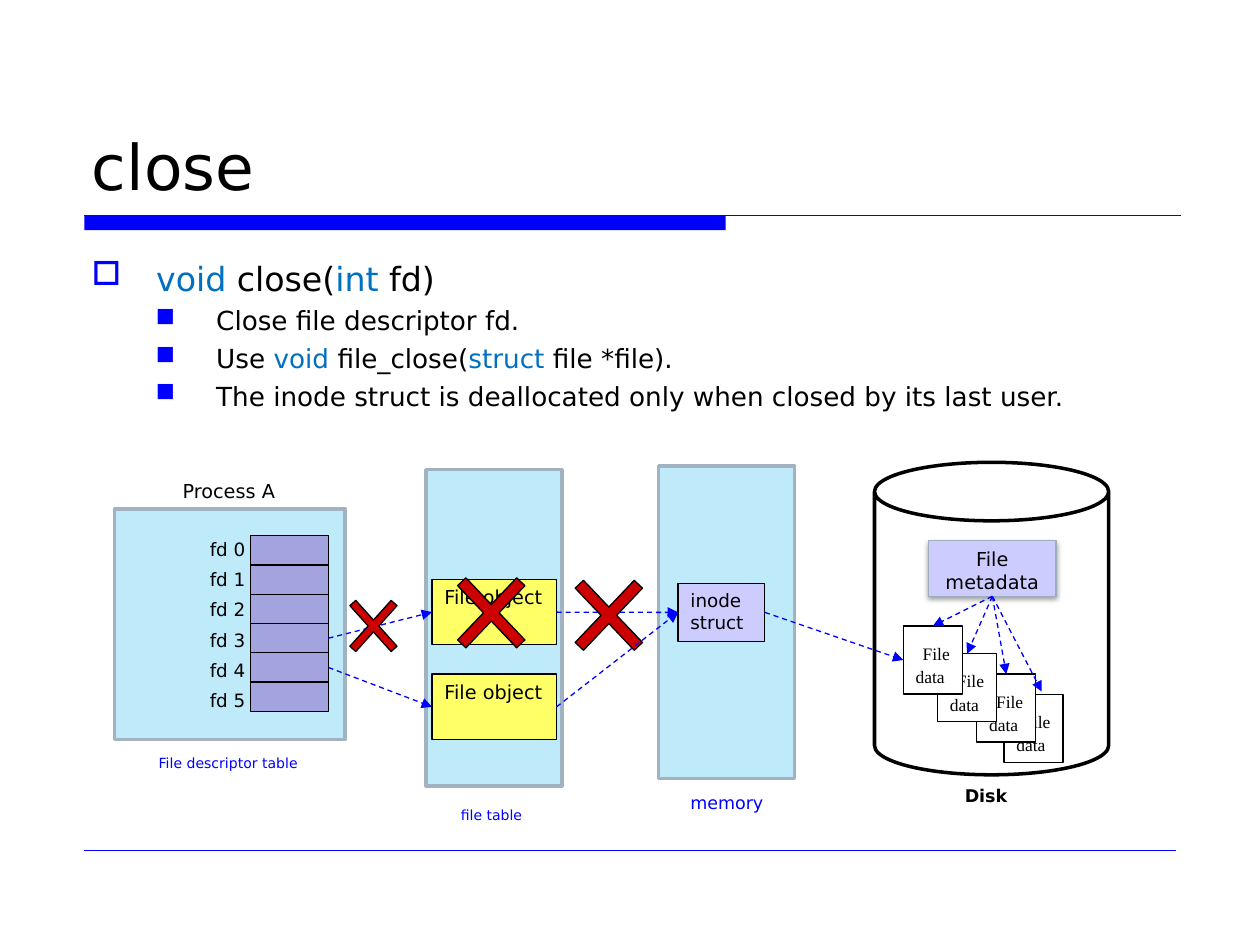
"""Build the slide explaining what close does to descriptors, file objects and inodes."""
from typing import NamedTuple, Optional

from lxml.etree import SubElement
from pptx import Presentation
from pptx.dml.color import RGBColor
from pptx.enum.dml import MSO_LINE
from pptx.enum.shapes import MSO_CONNECTOR, MSO_SHAPE
from pptx.enum.text import MSO_ANCHOR, PP_ALIGN
from pptx.oxml.ns import qn
from pptx.util import Cm, Pt

COLORS = {
    "black": "000000", "white": "FFFFFF", "blue": "0000FF", "keyword": "0070C0",
    "panel": "BFEAFA", "panel_edge": "A3B2C1", "slot": "A3A3E0", "inode": "CCCCFF",
    "metadata_edge": "9FAEBD", "file": "FFFF66", "cross": "CC0000",
}
SANS, SERIF = "DejaVu Sans", "Times New Roman"
TOP, LEFT, BOTTOM, RIGHT = range(4)


class Box(NamedTuple):
    left: float
    top: float
    width: float
    height: float

    def lengths(self) -> list:
        return [Cm(value) for value in self]


class Span(NamedTuple):
    text: str
    color: Optional[str] = None
    size: Optional[float] = None


class Bullet(NamedTuple):
    char: str
    indent: float
    hanging: float
    level: int


class Caption(NamedTuple):
    text: str
    box: Box
    size: float
    color: str = "blue"
    bold: bool = False


def rgb(name: str) -> RGBColor:
    return RGBColor.from_string(COLORS[name])


def add_bullet(paragraph, bullet: Bullet) -> None:
    paragraph.level = bullet.level
    properties = paragraph._p.get_or_add_pPr()
    properties.set("marL", str(Cm(bullet.indent)))
    properties.set("indent", str(-Cm(bullet.hanging)))
    tint = SubElement(properties, qn("a:buClr"))
    SubElement(tint, qn("a:srgbClr"), val=COLORS["blue"])
    SubElement(properties, qn("a:buChar"), char=bullet.char)


def write(frame, *spans, size: float, color: str = "black", font: str = SANS, bold: bool = False,
          align=PP_ALIGN.LEFT, before: float = 0, bullet: Optional[Bullet] = None) -> None:
    started = bool(frame.paragraphs[0].runs)
    paragraph = frame.add_paragraph() if started else frame.paragraphs[0]
    paragraph.alignment = align
    paragraph.space_before = Pt(before if started else 0)
    if bullet:
        add_bullet(paragraph, bullet)
    for item in spans:
        span = Span(item) if isinstance(item, str) else item
        run = paragraph.add_run()
        run.text = span.text
        run.font.name = font
        run.font.size = Pt(span.size or size)
        run.font.bold = bold
        run.font.color.rgb = rgb(span.color or color)


def add_frame(slide, box: Box):
    frame = slide.shapes.add_textbox(*box.lengths()).text_frame
    frame.word_wrap = True
    return frame


def add_box(slide, box: Box, fill: str, edge: Optional[str] = "black", weight: float = 0.75,
            kind=MSO_SHAPE.RECTANGLE):
    shape = slide.shapes.add_shape(kind, *box.lengths())
    shape.shadow.inherit = False
    shape.fill.solid()
    shape.fill.fore_color.rgb = rgb(fill)
    if edge:
        shape.line.color.rgb = rgb(edge)
        shape.line.width = Pt(weight)
    else:
        shape.line.fill.background()
    shape.text_frame.vertical_anchor = MSO_ANCHOR.TOP
    return shape


def add_line(slide, start: tuple, end: tuple, weight: float = 0.75):
    ends = [Cm(value) for value in (*start, *end)]
    line = slide.shapes.add_connector(MSO_CONNECTOR.STRAIGHT, *ends)
    line.line.color.rgb = rgb("blue")
    line.line.width = Pt(weight)
    SubElement(line._element.spPr, qn("a:effectLst"))
    return line


def add_arrow(slide, source, source_side: int, target=None, target_side: int = LEFT,
              end: tuple = (0, 0)) -> None:
    arrow = add_line(slide, (0, 0), end)
    arrow.begin_connect(source, source_side)
    if target is not None:
        arrow.end_connect(target, target_side)
    arrow.line.dash_style = MSO_LINE.DASH
    SubElement(arrow.line._get_or_add_ln(), qn("a:tailEnd"), type="triangle")


def add_soft_shadow(shape) -> None:
    effects = shape._element.spPr.find(qn("a:effectLst"))
    shadow = SubElement(effects, qn("a:outerShdw"), blurRad=str(Pt(3.1)), dist=str(Pt(1.6)),
                        dir="5400000", rotWithShape="0")
    tint = SubElement(shadow, qn("a:srgbClr"), val=COLORS["black"])
    SubElement(tint, qn("a:alpha"), val="38000")


def add_heading(slide) -> None:
    add_box(slide, Box(1.7, 4.34, 12.93, 0.3), "blue", None)
    add_line(slide, (1.7, 4.34), (23.8, 4.34))
    add_line(slide, (1.7, 17.15), (23.7, 17.15), 0.25)
    title = slide.shapes.title
    title.left, title.top, title.width, title.height = Box(1.6, 0.84, 22.23, 3.38).lengths()
    title.text_frame.vertical_anchor = MSO_ANCHOR.BOTTOM
    write(title.text_frame, "close", size=36)


def add_explanation(slide) -> None:
    body = add_frame(slide, Box(1.6, 5.08, 22.23, 4.01))
    write(body, Span("void", "keyword"), " close(", Span("int ", "keyword"), "fd)",
          size=19, bullet=Bullet("□", 1.3, 1.3, 0))
    details = [
        ["Close file descriptor fd."],
        ["Use ", Span("void ", "keyword"), "file_close(", Span("struct ", "keyword"), "file *file)."],
        ["The inode struct is deallocated only when closed by its last user."],
    ]
    for spans in details:
        write(body, *spans, size=15, before=3.6, bullet=Bullet("■", 2.51, 1.22, 1))


def add_disk(slide):
    add_box(slide, Box(17.63, 9.32, 4.72, 6.3), "white", weight=2, kind=MSO_SHAPE.CAN)
    metadata = add_box(slide, Box(18.72, 10.9, 2.57, 1.12), "inode", "metadata_edge",
                       kind=MSO_SHAPE.FLOWCHART_PROCESS)
    add_soft_shadow(metadata)
    write(metadata.text_frame, "File metadata", size=11, align=PP_ALIGN.CENTER)
    blocks = []
    for left, top in [(20.24, 14), (19.69, 13.59), (18.9, 13.18), (18.21, 12.62)]:
        block = add_box(slide, Box(left, top, 1.19, 1.37), "white")
        block.text_frame.word_wrap = False
        write(block.text_frame, Span(" ", size=16), "File", size=10, font=SERIF)
        write(block.text_frame, "data", size=10, font=SERIF)
        blocks.append(block)
    for block in blocks[1:]:
        add_arrow(slide, metadata, BOTTOM, block, TOP)
    add_arrow(slide, metadata, BOTTOM, end=(21, 13.94))
    return blocks[-1]


def add_tables(slide, first_block) -> None:
    for panel in [Box(13.28, 9.4, 2.74, 6.3), Box(8.59, 9.47, 2.74, 6.38),
                  Box(2.31, 10.26, 4.65, 4.65)]:
        add_box(slide, panel, "panel", "panel_edge", 2)
    inode = add_box(slide, Box(13.67, 11.76, 1.75, 1.17), "inode")
    write(inode.text_frame, "inode struct", size=10.5)
    files = [add_box(slide, Box(8.71, top, 2.51, 1.32), "file") for top in (11.68, 13.59)]
    for file in files:
        write(file.text_frame, "File object", size=11)
    slots = [add_box(slide, Box(5.05, 10.8 + 0.59 * fd, 1.57, 0.59), "slot") for fd in range(6)]
    for fd in range(len(slots)):
        write(add_frame(slide, Box(3.98, 10.72 + 0.61 * fd, 1.3, 0.6)), f"fd {fd}", size=10.5)
    add_arrow(slide, inode, RIGHT, first_block)
    add_arrow(slide, files[0], RIGHT, inode)
    add_arrow(slide, slots[3], RIGHT, files[0])
    for cross in [Box(6.73, 11.73, 1.6, 1.78), Box(8.76, 11.15, 2.29, 2.41),
                  Box(11.13, 11.2, 2.29, 2.41)]:
        add_box(slide, cross, "cross", kind=MSO_SHAPE.MATH_MULTIPLY).adjustments[0] = 0.1
    add_arrow(slide, files[1], RIGHT, inode)
    add_arrow(slide, slots[4], RIGHT, files[1])


def main() -> None:
    deck = Presentation()
    deck.slide_width, deck.slide_height = Cm(25.4), Cm(19.05)
    slide = deck.slides.add_slide(deck.slide_layouts[5])
    add_heading(slide)
    add_explanation(slide)
    add_tables(slide, add_disk(slide))
    for caption in [
        Caption("memory", Box(13.67, 15.85, 2.54, 0.69), 10),
        Caption("Disk", Box(19.2, 15.7, 2.54, 0.71), 10, "black", True),
        Caption("file table", Box(9.04, 16.13, 1.91, 0.61), 8),
        Caption("Process A", Box(3.43, 9.53, 2.41, 0.74), 11, "black"),
        Caption("File descriptor table", Box(2.95, 15.09, 3.45, 0.61), 8),
    ]:
        write(add_frame(slide, caption.box), caption.text, size=caption.size,
              color=caption.color, bold=caption.bold)
    deck.save("out.pptx")


if __name__ == "__main__":
    main()
